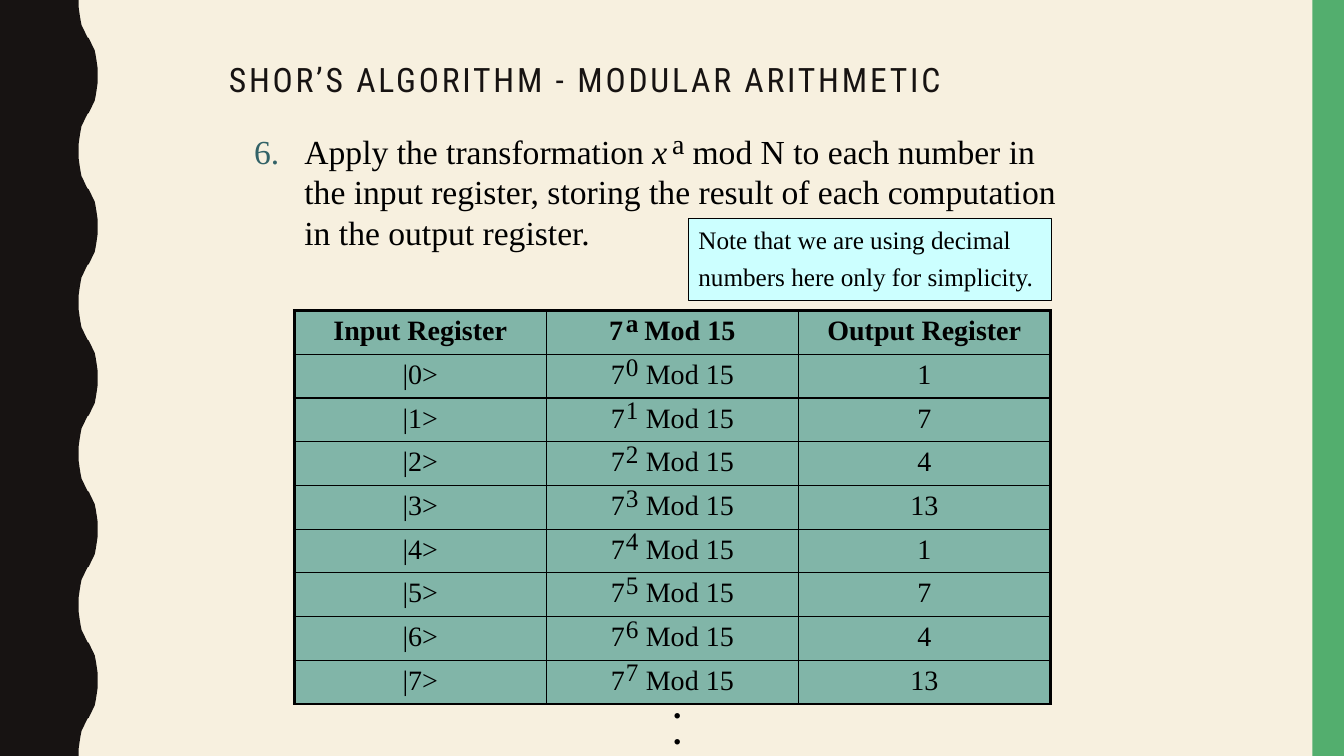
from lxml import etree
from pptx import Presentation
from pptx.dml.color import RGBColor
from pptx.enum import shapes, text
from pptx.oxml import ns
from pptx.util import Pt

TITLE = "SHOR’S ALGORITHM - MODULAR ARITHMETIC"
STEP_NUMBER = 6
# Each run is text, italic, extra letter spacing in points.
STEP_RUNS = [
    ("Apply the transformation ", False, 0),
    ("x", True, 0),
    (" ", False, 12),
    ("mod N to each number in the input register, storing the result of "
     "each computation in the output register.", False, 0),
]
NOTE = "Note that we are using decimal numbers here only for simplicity."
HEADERS = ["Input Register", "Output Register"]
EXPONENTS = ["a", "0", "1", "2", "3", "4", "5", "6", "7"]
OUTPUTS = ["1", "7", "4", "13", "1", "7", "4", "13"]
POWER_RUNS = [("7", 0), (" ", 10), ("Mod 15", 0)]

INK = RGBColor(0x17, 0x13, 0x12)
BLACK = RGBColor(0, 0, 0)
CREAM = RGBColor(0xF7, 0xF0, 0xDF)
GREEN = RGBColor(0x53, 0xAE, 0x6E)
TEAL = RGBColor(0x32, 0x62, 0x67)
SAGE = RGBColor(0x81, 0xB5, 0xA8)
PALE_BLUE = RGBColor(0xCC, 0xFF, 0xFF)
SERIF, CONDENSED = "Times New Roman", "Roboto Condensed"

WIDTH, HEIGHT = 960, 540
TABLE_LEFT, TABLE_TOP = 210.24, 221.76
COLUMN_WIDTH, ROW_HEIGHT = 180, 31.2
THIN, THICK = 1, 2.25
WAVE_PERIOD, WAVE_MIDDLE = 108, 63
# Outline from a trough to halfway up the next crest.
WAVE_QUARTER = [(56.2, 0), (56.2, 5), (56.9, 10), (57.6, 14.4),
                (58.3, 18), (59.8, 21), (61.2, 24), (62.6, 26.8)]


def place(shape, left, top, width, height):
    shape.left, shape.top = Pt(left), Pt(top)
    shape.width, shape.height = Pt(width), Pt(height)


def style(run, size, font=SERIF, color=BLACK, bold=False, italic=False, spacing=0):
    run.font.size, run.font.name = Pt(size), font
    run.font.bold, run.font.italic = bold, italic
    run.font.color.rgb = color
    if spacing:
        run.font._element.set("spc", str(spacing * 100))


def add_run(paragraph, words, size, **look):
    run = paragraph.add_run()
    run.text = words
    style(run, size, **look)


def add_label(slide, words, left, top, width, height, size, bold=False):
    label = slide.shapes.add_textbox(Pt(left), Pt(top), Pt(width), Pt(height))
    label.text_frame.word_wrap = True
    label.text_frame.text = words
    style(label.text_frame.paragraphs[0].runs[0], size, bold=bold)


def paint(shape, color):
    shape.shadow.inherit = False
    shape.fill.solid()
    shape.fill.fore_color.rgb = color
    shape.line.fill.background()


def add_side_bands(slide):
    rise = WAVE_QUARTER + [(2 * WAVE_MIDDLE - x, WAVE_PERIOD / 2 - y)
                           for x, y in reversed(WAVE_QUARTER)]
    wave = rise + [(x, WAVE_PERIOD - y) for x, y in reversed(rise)]
    edge = [(x, y + start) for start in range(0, HEIGHT, WAVE_PERIOD)
            for x, y in wave]
    # Freeform points are whole numbers, so they are given in EMU.
    builder = slide.shapes.build_freeform(0, 0, scale=1)
    builder.add_line_segments([(Pt(x), Pt(y)) for x, y in edge + [(0, HEIGHT)]],
                              close=True)
    paint(builder.convert_to_shape(), INK)
    stripe = slide.shapes.add_shape(shapes.MSO_SHAPE.RECTANGLE, Pt(937.44), 0,
                                    Pt(WIDTH - 937.44), Pt(HEIGHT))
    paint(stripe, GREEN)


def fill_title(title):
    place(title, 156.24, 41.76, 648, 36)
    frame = title.text_frame
    frame.text = TITLE
    frame.auto_size = text.MSO_AUTO_SIZE.NONE
    frame.vertical_anchor = text.MSO_ANCHOR.MIDDLE
    frame.margin_bottom = Pt(6.4)
    paragraph = frame.paragraphs[0]
    paragraph.alignment = text.PP_ALIGN.LEFT
    paragraph.line_spacing = 0.9
    style(paragraph.runs[0], 24, font=CONDENSED, color=INK, spacing=2)


def fill_step(body):
    place(body, 174.24, 90, 594, 94.32)
    body.text_frame.auto_size = text.MSO_AUTO_SIZE.NONE
    paragraph = body.text_frame.paragraphs[0]
    paragraph.line_spacing = 1.0
    paragraph.space_before = Pt(0)
    for words, italic, spacing in STEP_RUNS:
        add_run(paragraph, words, 24, italic=italic, spacing=spacing)
    properties = paragraph._p.get_or_add_pPr()
    properties.set("marL", str(Pt(36)))
    properties.set("indent", str(Pt(-36)))
    color = etree.SubElement(properties, ns.qn("a:buClr"))
    etree.SubElement(color, ns.qn("a:srgbClr"), val=str(TEAL))
    etree.SubElement(properties, ns.qn("a:buFont"), typeface=SERIF)
    etree.SubElement(properties, ns.qn("a:buAutoNum"), type="arabicPeriod",
                     startAt=str(STEP_NUMBER))


def set_borders(cell, widths):
    for side, width in widths.items():
        line = etree.SubElement(cell._tc.get_or_add_tcPr(),
                                ns.qn("a:ln" + side), w=str(Pt(width)))
        fill = etree.SubElement(line, ns.qn("a:solidFill"))
        etree.SubElement(fill, ns.qn("a:srgbClr"), val=str(BLACK))


def add_register_table(slide):
    rows, columns = len(EXPONENTS), 3
    table = slide.shapes.add_table(
        rows, columns, Pt(TABLE_LEFT), Pt(TABLE_TOP),
        Pt(columns * COLUMN_WIDTH), Pt(rows * ROW_HEIGHT)).table
    table.first_row = table.horz_banding = False
    inputs = [HEADERS[0]] + [f"|{exponent}>" for exponent in EXPONENTS[1:]]
    outputs = [HEADERS[1]] + OUTPUTS
    for row in range(rows):
        table.rows[row].height = Pt(ROW_HEIGHT)
        contents = [[(inputs[row], 0)], POWER_RUNS, [(outputs[row], 0)]]
        for column, runs in enumerate(contents):
            cell = table.cell(row, column)
            set_borders(cell, {
                "L": THICK if column == 0 else THIN,
                "R": THICK if column == columns - 1 else THIN,
                "T": THICK if row == 0 else THIN,
                "B": THICK if row == rows - 1 else THIN})
            cell.fill.solid()
            cell.fill.fore_color.rgb = SAGE
            paragraph = cell.text_frame.paragraphs[0]
            paragraph.alignment = text.PP_ALIGN.CENTER
            for words, spacing in runs:
                add_run(paragraph, words, 20, bold=row == 0, spacing=spacing)
    for row, exponent in enumerate(EXPONENTS):
        add_label(slide, exponent, 440, 216 + row * ROW_HEIGHT, 18, 28.8, 18,
                  bold=row == 0)


def add_note(slide):
    note = slide.shapes.add_shape(shapes.MSO_SHAPE.RECTANGLE, Pt(491.76),
                                  Pt(156.24), Pt(259.2), Pt(58.32))
    paint(note, PALE_BLUE)
    note.line.color.rgb = BLACK
    note.line.width = Pt(0.75)
    frame = note.text_frame
    frame.word_wrap = True
    frame.vertical_anchor = text.MSO_ANCHOR.TOP
    frame.margin_top = Pt(0)
    frame.text = NOTE
    paragraph = frame.paragraphs[0]
    paragraph.alignment = text.PP_ALIGN.LEFT
    paragraph.line_spacing = 1.2
    style(paragraph.runs[0], 18)


def main():
    presentation = Presentation()
    presentation.slide_width, presentation.slide_height = Pt(WIDTH), Pt(HEIGHT)
    slide = presentation.slides.add_slide(presentation.slide_layouts[1])
    slide.background.fill.solid()
    slide.background.fill.fore_color.rgb = CREAM
    add_side_bands(slide)
    fill_title(slide.shapes.title)
    fill_step(slide.placeholders[1])
    add_label(slide, "a", 473.04, 87.12, 23.76, 30.96, 20)
    add_register_table(slide)
    add_note(slide)
    for top in (486, 504):
        add_label(slide, ".", 473.76, top, 14.4, 36, 24, bold=True)
    presentation.save("out.pptx")


if __name__ == "__main__":
    main()
